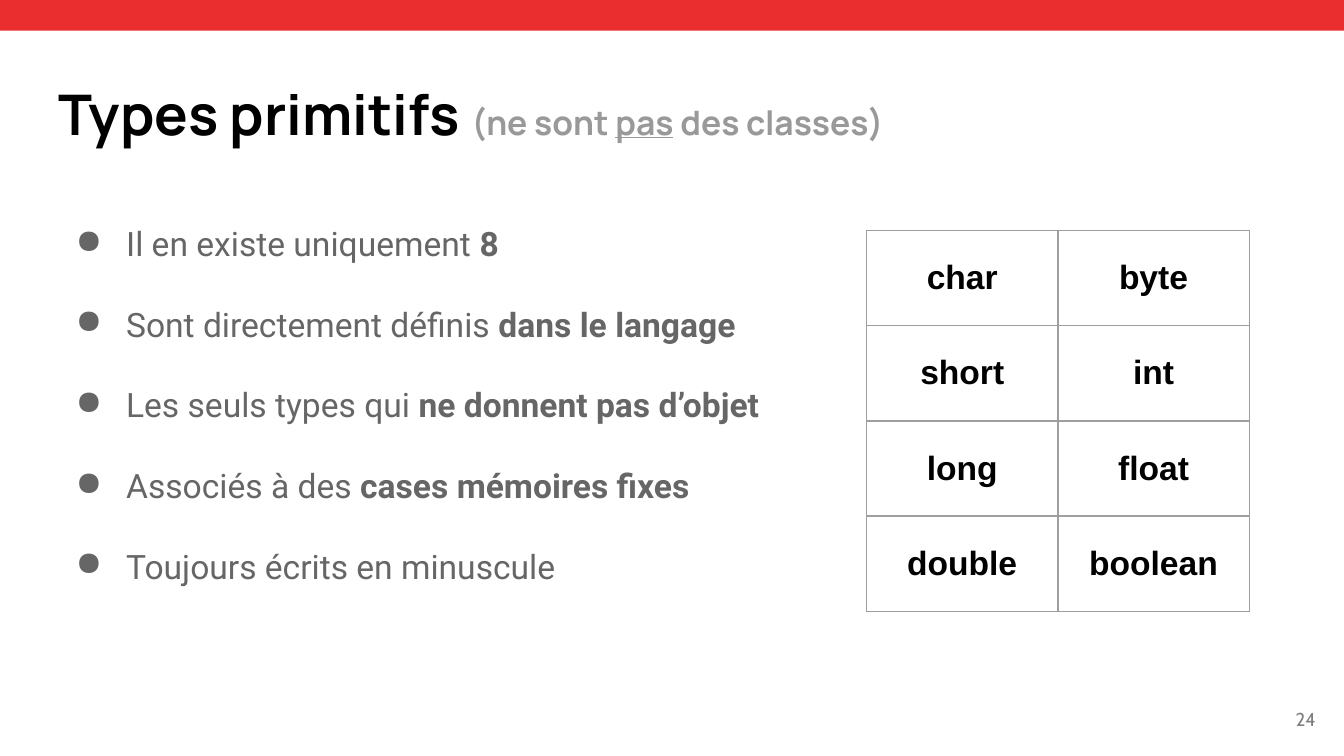
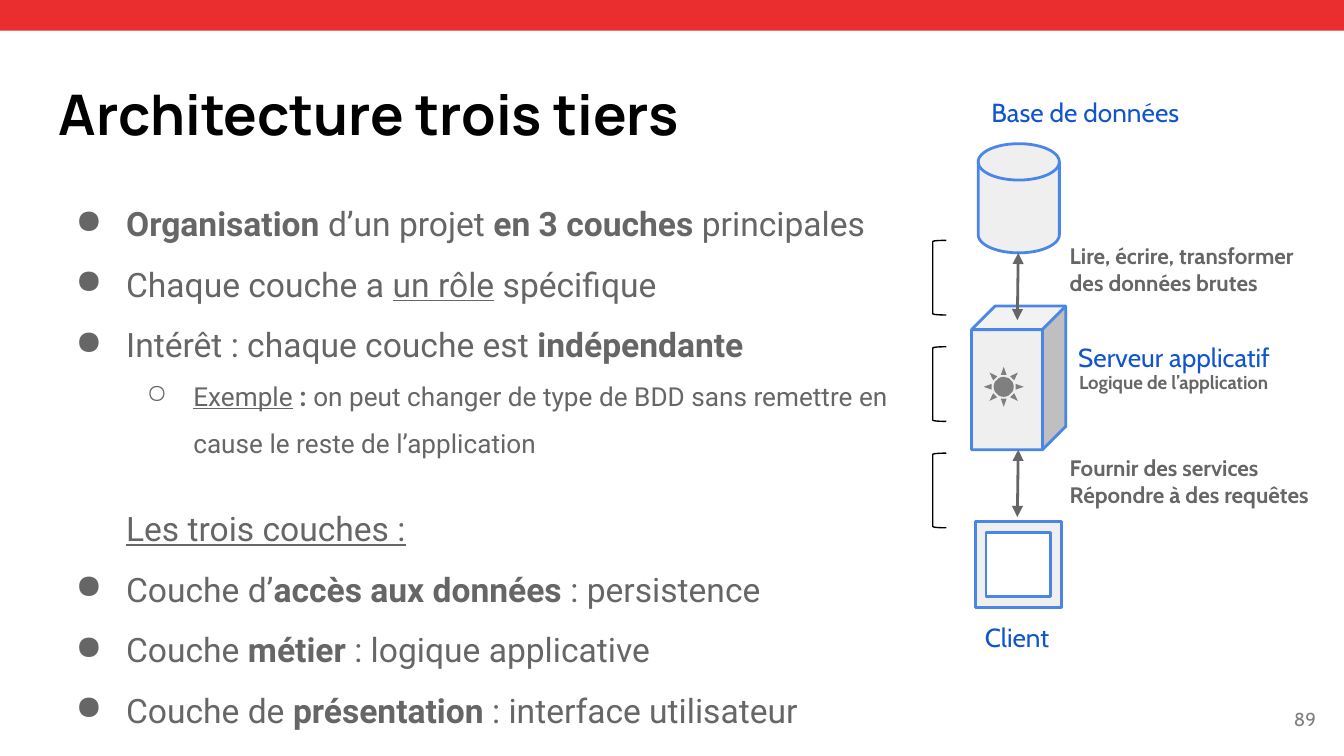
from lxml import etree
from pptx import Presentation
from pptx.dml.color import RGBColor
from pptx.enum.shapes import MSO_CONNECTOR, MSO_SHAPE
from pptx.enum.text import MSO_ANCHOR, PP_ALIGN
from pptx.oxml.ns import qn
from pptx.util import Pt

LINE = MSO_CONNECTOR.STRAIGHT
RECT = MSO_SHAPE.RECTANGLE
DISK = MSO_SHAPE.FLOWCHART_MAGNETIC_DISK
CUBE = MSO_SHAPE.CUBE
FRAME = MSO_SHAPE.FRAME
SUN = MSO_SHAPE.SUN
BRACKET = MSO_SHAPE.LEFT_BRACKET
TOP, MIDDLE = MSO_ANCHOR.TOP, MSO_ANCHOR.MIDDLE
LEFT, CENTER, RIGHT = PP_ALIGN.LEFT, PP_ALIGN.CENTER, PP_ALIGN.RIGHT

RED, BLACK, GRAY, PALE = "EA2D2E", "000000", "666666", "EFEFEF"
BLUE, LINK, MUTED, DIM = "4A86E8", "1155CC", "999999", "7F7F7F"
GRID = "9E9E9E"

LEVELS = {
    "dot": dict(left=36, hang=27, mark="●", size=18),
    "sub": dict(left=72, hang=25, mark="○", size=14),
    "head": dict(left=36, hang=0, mark=None, size=18, before=16),
}

TYPES = [
    ("dot", [("Il en existe uniquement ", ""), ("8", "b")]),
    ("dot", [("Sont directement définis ", ""), ("dans le langage", "b")]),
    ("dot", [("Les seuls types qui ", ""), ("ne donnent pas d’objet", "b")]),
    ("dot", [("Associés à des ", ""), ("cases mémoires fixes", "b")]),
    ("dot", [("Toujours écrits en minuscule", "")]),
]
NAMES = [("char", "byte"), ("short", "int"), ("long", "float"), ("double", "boolean")]

TIERS = [
    ("dot", [("Organisation ", "b"), ("d’un projet ", ""),
             ("en 3 couches ", "b"), ("principales", "")]),
    ("dot", [("Chaque couche a ", ""), ("un rôle", "u"), (" spécifique", "")]),
    ("dot", [("Intérêt : chaque couche est ", ""), ("indépendante", "b")]),
    ("sub", [("Exemple", "u"), (" : ", "b"),
             ("on peut changer de type de BDD sans remettre en cause "
              "le reste de l’application", "")]),
    ("head", [("Les trois couches :", "u")]),
    ("dot", [("Couche d’", ""), ("accès aux données ", "b"), (": persistence", "")]),
    ("dot", [("Couche ", ""), ("métier ", "b"), (": logique applicative", "")]),
    ("dot", [("Couche de ", ""), ("présentation ", "b"),
             (": interface utilisateur", "")]),
]
PARTS = [
    (DISK, (524, 77, 43.5, 58.5), None),
    (CUBE, (520.5, 164, 50.5, 77), 0.25),
    (FRAME, (522.5, 279.5, 46, 46), 0.125),
]
ARROWS = [135.5, 241]
LABELS = [
    (["Base de données"], (524, 44.5, 119, 30), 14, LINK),
    (["Serveur applicatif"], (570.5, 175.5, 119, 30), 14, LINK),
    (["Client"], (520.5, 325.5, 50.5, 30), 14, LINK),
    (["Lire, écrire, transformer des données brutes"],
     (566, 122.5, 146, 46), 12, GRAY),
    (["Fournir des services", "Répondre à des requêtes"],
     (566, 236, 146, 46), 12, GRAY),
    (["Logique de l’application"], (571, 192.5, 127, 30), 10, GRAY),
]


def color(code):
    return RGBColor.from_string(code)


def pts(box):
    return [Pt(v) for v in box]


def style(font, name, size, code, bold=None):
    font.name, font.size, font.bold = name, Pt(size), bold
    font.color.rgb = color(code)


def shape(slide, kind, box, fill=None, line=None, width=1.5, adj=None):
    item = slide.shapes.add_shape(kind, *pts(box))
    item.shadow.inherit = False
    if adj is not None:
        item.adjustments[0] = adj
    if fill:
        item.fill.solid()
        item.fill.fore_color.rgb = color(fill)
    else:
        item.fill.background()
    if line:
        item.line.color.rgb = color(line)
        item.line.width = Pt(width)
    else:
        item.line.fill.background()


def frame(slide, box, anchor=TOP):
    body = slide.shapes.add_textbox(*pts(box)).text_frame
    body.word_wrap = True
    body.vertical_anchor = anchor
    body.margin_left = body.margin_right = Pt(7.2)
    body.margin_top = body.margin_bottom = Pt(7.2)
    return body


def paras(body, count):
    return [body.paragraphs[0]] + [body.add_paragraph() for _ in range(count - 1)]


def add_runs(para, runs):
    for text, flags in runs:
        run = para.add_run()
        run.text = text
        if "b" in flags:
            run.font.bold = True
        if "u" in flags:
            run.font.underline = True


def write(slide, lines, box, name, size, code, bold=None, align=LEFT, anchor=TOP):
    body = frame(slide, box, anchor)
    for para, text in zip(paras(body, len(lines)), lines):
        para.text = text
        para.alignment = align
        style(para.font, name, size, code, bold)


def bullets(slide, items, box, space):
    body = frame(slide, box)
    for para, (level, runs) in zip(paras(body, len(items)), items):
        look = LEVELS[level]
        para.line_spacing = space
        if "before" in look:
            para.space_before = Pt(look["before"])
        props = para._p.get_or_add_pPr()
        props.set("marL", str(Pt(look["left"])))
        props.set("indent", str(-Pt(look["hang"])))
        if look["mark"]:
            tint = etree.SubElement(props, qn("a:buClr"))
            etree.SubElement(tint, qn("a:srgbClr"), val=GRAY)
            etree.SubElement(props, qn("a:buChar"), char=look["mark"])
        else:
            etree.SubElement(props, qn("a:buNone"))
        style(para.font, "Roboto", look["size"], GRAY)
        add_runs(para, runs)


def arrow(slide, top):
    item = slide.shapes.add_connector(LINE, *pts((545.5, top, 545, top + 36)))
    item.line.color.rgb = color(GRAY)
    item.line.width = Pt(1.5)
    props = item._element.spPr
    for tag in ("a:headEnd", "a:tailEnd"):
        etree.SubElement(item.line._get_or_add_ln(), qn(tag), type="triangle")
    etree.SubElement(props, qn("a:effectLst"))


def border(cell):
    props = cell._tc.get_or_add_tcPr()
    for spot, side in enumerate("LRTB"):
        edge = etree.Element(qn("a:ln" + side), w=str(Pt(0.75)))
        fill = etree.SubElement(edge, qn("a:solidFill"))
        etree.SubElement(fill, qn("a:srgbClr"), val=GRID)
        props.insert(spot, edge)


def grid(slide, rows, left, top, wide, high):
    count = len(rows[0])
    box = (left, top, wide * count, high * len(rows))
    table = slide.shapes.add_table(len(rows), count, *pts(box)).table
    table.first_row = table.horz_banding = False
    for col in table.columns:
        col.width = Pt(wide)
    for r, row in enumerate(rows):
        table.rows[r].height = Pt(high)
        for c, text in enumerate(row):
            cell = table.cell(r, c)
            cell.fill.background()
            cell.vertical_anchor = MIDDLE
            cell.margin_left = cell.margin_right = Pt(7.2)
            cell.margin_top = cell.margin_bottom = Pt(7.2)
            para = cell.text_frame.paragraphs[0]
            para.text = text
            para.alignment = CENTER
            style(para.font, "Arial", 18, BLACK, True)
            border(cell)


def page(deck, title, number, note=()):
    slide = deck.slides.add_slide(deck.slide_layouts[6])
    shape(slide, RECT, (0, 0, 720, 16.5), RED)
    para = frame(slide, (24.5, 35.5, 671, 49)).paragraphs[0]
    style(para.font, "Manrope", 30, BLACK, True)
    add_runs(para, [(title, "")])
    add_runs(para, note)
    for run in para.runs[1:]:
        run.font.size = Pt(18)
        run.font.color.rgb = color(MUTED)
    write(slide, [number], (669, 369.5, 43, 31), "Cabin", 10, DIM,
          align=RIGHT, anchor=MIDDLE)
    return slide


def main():
    deck = Presentation()
    deck.slide_width, deck.slide_height = Pt(720), Pt(405)

    note = [("(ne sont ", ""), ("pas", "u"), (" des classes)", "")]
    slide = page(deck, "Types primitifs ", "24", note)
    bullets(slide, TYPES, (24.5, 90.75, 671, 269), 2.0)
    grid(slide, NAMES, 464.25, 123.5, 102.5, 51)

    slide = page(deck, "Architecture trois tiers", "89")
    bullets(slide, TIERS, (24.5, 90.75, 480, 298), 1.5)
    for kind, box, adj in PARTS:
        shape(slide, kind, box, PALE, BLUE, adj=adj)
    for top in ARROWS:
        arrow(slide, top)
    for lines, box, size, code in LABELS:
        write(slide, lines, box, "Cabin", size, code, bold=code == GRAY)
    shape(slide, SUN, (527, 196.5, 21.5, 21.5), DIM, adj=0.25)
    for step in range(3):
        shape(slide, BRACKET, (499.75, 128.75 + 57 * step, 7.2, 40),
              line=BLACK, width=0.75, adj=0.083)

    deck.save("out.pptx")


if __name__ == "__main__":
    main()
